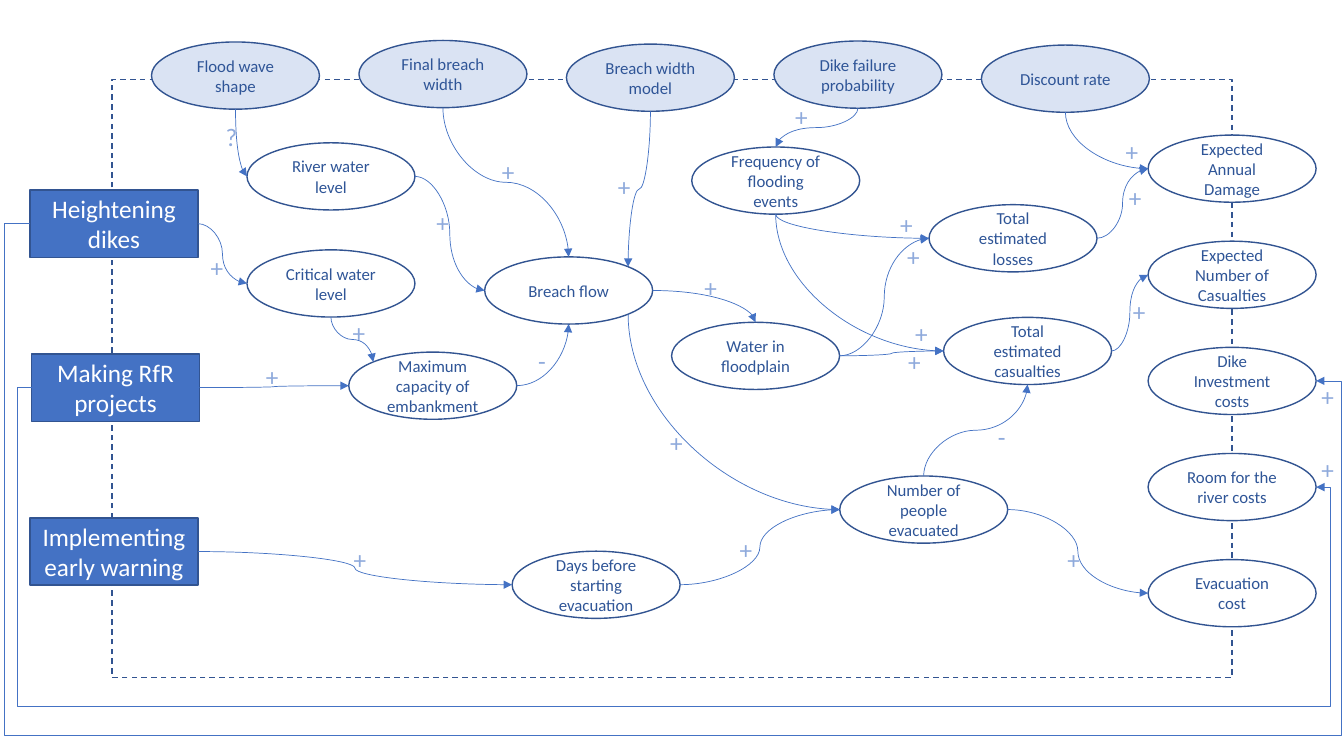
from dataclasses import dataclass
from math import cos, pi, sin

from lxml import etree
from pptx import Presentation, util as u
from pptx.dml.color import RGBColor
from pptx.enum import dml, shapes, text
from pptx.oxml.ns import qn

Pt = u.Pt


@dataclass(frozen=True)
class Theme:
    font: str = "Calibri"
    outline: str = "325491"
    link: str = "4472C4"
    sign: str = "8FAADC"
    node_text: str = "2F5597"
    white: str = "FFFFFF"
    action: str = "4472C4"
    driver: str = "DAE3F3"
    small: float = 12
    large: float = 18
    outline_width: float = 1
    link_width: float = 0.5


@dataclass(frozen=True)
class Node:
    label: str
    x: float
    y: float
    fill: str
    is_action: bool = False


@dataclass(frozen=True)
class Link:
    src: str
    src_site: int
    dst: str
    dst_site: int
    sign: str
    sign_x: float
    sign_y: float
    lane: tuple[float, float, float] | None = None  # left x, bottom y, right x


T = Theme()
W, H = 120, 48
# Sites run anticlockwise from the top in eighths of a turn
TOP, TOP_LEFT, LEFT, BOTTOM, BOTTOM_RIGHT, RIGHT, TOP_RIGHT = 0, 1, 2, 4, 5, 6, 7

HEIGHTEN, RFR, WARNING = "Heightening dikes", "Making RfR projects", "Implementing early warning"
WAVE, WIDTH, MODEL = "Flood wave shape", "Final breach width", "Breach width model"
FAILURE, DISCOUNT = "Dike failure probability", "Discount rate"
RIVER, CRITICAL, CAPACITY = "River water level", "Critical water level", "Maximum capacity of embankment"
FLOW, WATER, DAYS = "Breach flow", "Water in floodplain", "Days before starting evacuation"
FREQUENCY, LOSSES = "Frequency of flooding events", "Total estimated losses"
CASUALTIES, EVACUATED = "Total estimated casualties", "Number of people evacuated"
DAMAGE, DEATHS, INVEST = "Expected Annual Damage", "Expected Number of Casualties", "Dike Investment costs"
ROOM, EVAC_COST = "Room for the river costs", "Evacuation cost"

OUTCOMES = [Node(label, 820.1, 96.5 + 75.8 * i, T.white)
            for i, label in enumerate((DAMAGE, DEATHS, INVEST, ROOM, EVAC_COST))]
DRIVERS = [Node(label, 108.2 + 148.2 * i, y, T.driver)
           for i, (label, y) in enumerate(((WAVE, 30), (WIDTH, 28.9), (MODEL, 31.5),
                                           (FAILURE, 29.3), (DISCOUNT, 32.2)))]
ACTIONS = [Node(label, x, y, T.action, True)
           for label, x, y in ((HEIGHTEN, 21.4, 135.8), (RFR, 22.5, 252.9), (WARNING, 21.4, 370))]
FACTORS = [Node(label, x, y, T.white) for label, x, y in (
    (RIVER, 176.4, 102), (CRITICAL, 176.4, 178.5), (CAPACITY, 249.1, 251.5),
    (FLOW, 346.2, 183.5), (WATER, 479.7, 230.2), (DAYS, 365.8, 393.7),
    (FREQUENCY, 494.1, 105), (LOSSES, 663.6, 146.2), (CASUALTIES, 674, 226.7),
    (EVACUATED, 599.8, 340))]

LINKS = [
    Link(WAVE, BOTTOM, RIVER, LEFT, "?", 154.1, 82.8),
    Link(WIDTH, BOTTOM, FLOW, TOP, "+", 351.4, 108),
    Link(MODEL, BOTTOM, FLOW, TOP_RIGHT, "+", 434.2, 118.8),
    Link(FAILURE, BOTTOM, FREQUENCY, TOP, "+", 560.9, 69.1),
    Link(DISCOUNT, BOTTOM, DAMAGE, LEFT, "+", 797, 93.6),
    Link(HEIGHTEN, RIGHT, CRITICAL, LEFT, "+", 143.3, 176.4),
    Link(RFR, RIGHT, CAPACITY, LEFT, "+", 182.9, 254.2),
    Link(WARNING, RIGHT, DAYS, LEFT, "+", 245.5, 385.2),
    Link(RIVER, RIGHT, FLOW, LEFT, "+", 304.6, 144.7),
    Link(CRITICAL, BOTTOM, CAPACITY, TOP_LEFT, "+", 244.8, 223.2),
    Link(CAPACITY, RIGHT, FLOW, BOTTOM, "-", 377.3, 243.4),
    Link(FLOW, RIGHT, WATER, TOP, "+", 496.1, 190.8),
    Link(FLOW, BOTTOM_RIGHT, EVACUATED, LEFT, "+", 471.6, 301.7),
    Link(DAYS, RIGHT, EVACUATED, LEFT, "+", 521.3, 378),
    Link(FREQUENCY, BOTTOM, LOSSES, LEFT, "+", 635.8, 146.2),
    Link(FREQUENCY, BOTTOM, CASUALTIES, LEFT, "+", 646.6, 223.9),
    Link(WATER, RIGHT, LOSSES, LEFT, "+", 640.8, 168.5),
    Link(WATER, RIGHT, CASUALTIES, LEFT, "+", 641.5, 244.1),
    Link(EVACUATED, TOP, CASUALTIES, BOTTOM, "-", 705.6, 297.4),
    Link(EVACUATED, RIGHT, EVAC_COST, LEFT, "+", 755.3, 385.2),
    Link(LOSSES, RIGHT, DAMAGE, LEFT, "+", 799.2, 126.7),
    Link(CASUALTIES, RIGHT, DEATHS, LEFT, "+", 802.1, 208.1),
    Link(HEIGHTEN, LEFT, INVEST, RIGHT, "+", 936.7, 268.6, (3.1, 525.4, 958.3)),
    Link(RFR, LEFT, ROOM, RIGHT, "+", 936.7, 321.1, (12.6, 504.4, 950.2)),
]


def rgb(colour: str) -> RGBColor:
    return RGBColor.from_string(colour)


def write(sp, words: str, *, size: float, colour: str, align=text.PP_ALIGN.LEFT) -> None:
    tf = sp.text_frame
    tf.word_wrap = True
    p = tf.paragraphs[0]
    p.alignment = align
    r = p.add_run()
    r.text = words
    r.font.name, r.font.size = T.font, Pt(size)
    r.font.color.rgb = rgb(colour)


def draw_outline(s, kind, x: float, y: float, w: float, h: float):
    sp = s.shapes.add_shape(kind, Pt(x), Pt(y), Pt(w), Pt(h))
    sp.shadow.inherit = False
    sp.line.color.rgb = rgb(T.outline)
    sp.line.width = Pt(T.outline_width)
    return sp


def draw_node(s, node: Node):
    kind = shapes.MSO_SHAPE.RECTANGLE if node.is_action else shapes.MSO_SHAPE.OVAL
    sp = draw_outline(s, kind, node.x, node.y, W, H)
    sp.fill.solid()
    sp.fill.fore_color.rgb = rgb(node.fill)
    sp.text_frame.vertical_anchor = text.MSO_ANCHOR.MIDDLE
    write(sp, node.label, size=T.large if node.is_action else T.small,
          colour=T.white if node.is_action else T.node_text, align=text.PP_ALIGN.CENTER)
    return sp


def site_point(node: Node, site: int) -> tuple[float, float]:
    turn = site * pi / 4
    return node.x + W / 2 * (1 - sin(turn)), node.y + H / 2 * (1 - cos(turn))


def draw_link(s, link: Link, nodes: dict[str, Node], drawn: dict) -> None:
    """Route a link by the directions in which it leaves and enters its nodes."""
    x1, y1 = site_point(nodes[link.src], link.src_site)
    x2, y2 = site_point(nodes[link.dst], link.dst_site)
    w, h = abs(x2 - x1), abs(y2 - y1)
    cx, cy = (x1 + x2) / 2, (y1 + y2) / 2
    sideways = (LEFT, RIGHT)
    leaves_sideways = link.src_site in sideways
    same_axis = leaves_sideways == (link.dst_site in sideways)
    kind, adjust = shapes.MSO_CONNECTOR.CURVE, []
    preset = "curvedConnector3" if same_axis else "curvedConnector2"
    if link.lane:
        left, bottom, right = link.lane
        kind, preset, turn, flips = shapes.MSO_CONNECTOR.ELBOW, "bentConnector5", 180, "HV"
        adjust = [(left - x1) / w, (bottom - y1) / h, (right - x1) / w]
    elif leaves_sideways:
        turn, flips = 0, "V" if y2 < y1 else ""
    else:
        w, h = h, w
        if y2 < y1:
            turn, flips = 90, "HV"
        else:
            turn, flips = (270, "H") if x2 > x1 else (90, "")

    c = s.shapes.add_connector(kind, Pt(cx - w / 2), Pt(cy - h / 2), Pt(cx + w / 2), Pt(cy + h / 2))
    c.line.color.rgb = rgb(T.link)
    c.line.width = Pt(T.link_width)
    spPr = c.element.spPr
    xfrm = spPr.find(qn("a:xfrm"))
    xfrm.set("rot", str(turn * 60000))
    for flip in flips:
        xfrm.set("flip" + flip, "1")
    geom = spPr.find(qn("a:prstGeom"))
    geom.set("prst", preset)
    for i, value in enumerate(adjust, 1):
        etree.SubElement(geom.find(qn("a:avLst")), qn("a:gd"),
                         name=f"adj{i}", fmla=f"val {round(value * 100000)}")
    etree.SubElement(spPr.find(qn("a:ln")), qn("a:tailEnd"), type="triangle")
    etree.SubElement(spPr, qn("a:effectLst"))
    joins = next(c.element.iter(qn("p:cNvCxnSpPr")))
    for tag, label, site in (("a:stCxn", link.src, link.src_site),
                             ("a:endCxn", link.dst, link.dst_site)):
        idx = site // 2 if nodes[label].is_action else site
        etree.SubElement(joins, qn(tag), id=str(drawn[label].shape_id), idx=str(idx))


def draw_sign(s, link: Link) -> None:
    sp = s.shapes.add_textbox(Pt(link.sign_x), Pt(link.sign_y), Pt(18), Pt(29))
    write(sp, link.sign, size=T.large, colour=T.sign)
    sp.text_frame.auto_size = text.MSO_AUTO_SIZE.SHAPE_TO_FIT_TEXT


def main() -> None:
    prs = Presentation()
    prs.slide_width, prs.slide_height = Pt(960), Pt(540)
    s = prs.slides.add_slide(prs.slide_layouts[6])
    boundary = draw_outline(s, shapes.MSO_SHAPE.RECTANGLE, 80, 56.6, 800, 427.4)
    boundary.fill.background()
    boundary.line.dash_style = dml.MSO_LINE.DASH
    nodes = {node.label: node for node in OUTCOMES + DRIVERS + ACTIONS + FACTORS}
    drawn = {label: draw_node(s, node) for label, node in nodes.items()}
    for link in LINKS:
        draw_link(s, link, nodes, drawn)
    for link in LINKS:
        draw_sign(s, link)
    prs.save("out.pptx")


if __name__ == "__main__":
    main()
